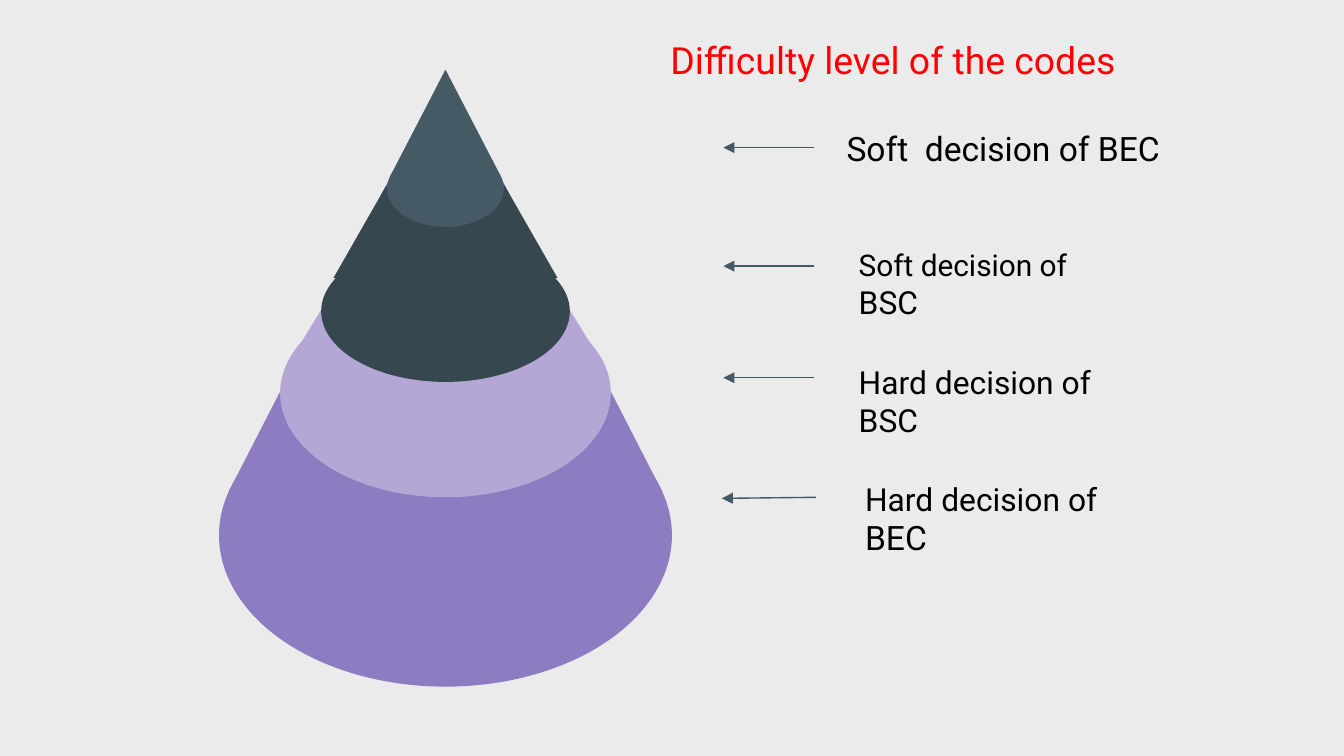
from lxml import etree
from pptx import Presentation
from pptx.dml.color import RGBColor
from pptx.enum.shapes import MSO_CONNECTOR, MSO_SHAPE
from pptx.enum.text import MSO_AUTO_SIZE
from pptx.oxml.ns import qn
from pptx.util import Cm, Pt

OVAL = MSO_SHAPE.OVAL
LINE = MSO_CONNECTOR.STRAIGHT
GROW = MSO_AUTO_SIZE.SHAPE_TO_FIT_TEXT

COLORS = {
    "back": "EBEBEB",
    "purple": "8E7CC3",
    "lilac": "B4A7D6",
    "slate": "37474F",
    "steel": "455A64",
    "title": "FF0000",
    "text": "000000",
}
RGB = {name: RGBColor.from_string(code) for name, code in COLORS.items()}

deck = Presentation()
deck.slide_width, deck.slide_height = Cm(25.4), Cm(14.29)
slide = deck.slides.add_slide(deck.slide_layouts[6])
slide.background.fill.solid()
slide.background.fill.fore_color.rgb = RGB["back"]
shapes = slide.shapes


def paint(shape, color):
    """Give a shape a flat fill, with no outline or shadow."""
    shape.shadow.inherit = False
    shape.fill.solid()
    shape.fill.fore_color.rgb = RGB[color]
    shape.line.fill.background()


def add_text(box, runs, color):
    """Add a growing text box; runs are (text, size) pairs."""
    frame = shapes.add_textbox(*map(Cm, box)).text_frame
    frame.word_wrap = True
    frame.auto_size = GROW
    frame.margin_left = frame.margin_right = Cm(0.25)
    frame.margin_top = frame.margin_bottom = Cm(0.25)
    para = frame.paragraphs[0]
    para.font.name = "Roboto"
    para.font.color.rgb = RGB[color]
    for text, size in runs:
        run = para.add_run()
        run.text = text
        if len(runs) > 1:
            run.font.size = Pt(size)
        else:
            para.font.size = Pt(size)


# Cone tiers, widest first, all centred on one axis:
# side (top, top width, bottom, bottom width), base (top, width, height)
AXIS = 8.42
tiers = [
    ("purple", (1.32, 0, 9.3, 8.2), (7.26, 8.56, 5.72)),
    ("lilac", (4.72, 3.3, 6.83, 5.89), (5.46, 6.25, 3.94)),
    ("slate", (3.51, 2.24, 5.26, 4.24), (4.55, 4.7, 2.67)),
    ("steel", (1.32, 0, 3.35, 2.11), (2.84, 2.21, 1.45)),
]
for color, (top, narrow, low, wide), (base, width, height) in tiers:
    oval = shapes.add_shape(
        OVAL, Cm(AXIS - width / 2), Cm(base), Cm(width), Cm(height))
    paint(oval, color)
    pen = shapes.build_freeform(Cm(AXIS - narrow / 2), Cm(top))
    pen.add_line_segments([
        (Cm(AXIS - wide / 2), Cm(low)),
        (Cm(AXIS + wide / 2), Cm(low)),
        (Cm(AXIS + narrow / 2), Cm(top)),
    ])
    paint(pen.convert_to_shape(), color)

arrows = [
    (15.39, 2.79, 13.67, 2.79),
    (15.39, 5.03, 13.67, 5.03),
    (15.39, 7.14, 13.67, 7.14),
    (15.42, 9.4, 13.64, 9.42),
]
for ends in arrows:
    arrow = shapes.add_connector(LINE, *map(Cm, ends))
    arrow.line.color.rgb = RGB["steel"]
    arrow.line.width = Pt(0.75)
    stroke = arrow.line._get_or_add_ln()
    etree.SubElement(stroke, qn("a:tailEnd"), type="triangle")
    etree.SubElement(arrow._element.spPr, qn("a:effectLst"))

add_text((12.42, 0.46, 10.49, 1.37),
         [("Difficulty level of the codes", 20)], "title")

labels = [
    ((15.75, 2.16, 6.53, 1.27), [("Soft  decision of BEC", 18)]),
    ((15.98, 4.42, 5.51, 1.24), [("Soft decision of ", 16), ("BSC", 17)]),
    ((15.98, 6.6, 5.31, 1.24), [("Hard decision of BSC", 17)]),
    ((16.1, 8.81, 5.84, 1.27), [("Hard decision of ", 17), ("BEC", 18)]),
]
for box, runs in labels:
    add_text(box, runs, "text")

deck.save("out.pptx")
